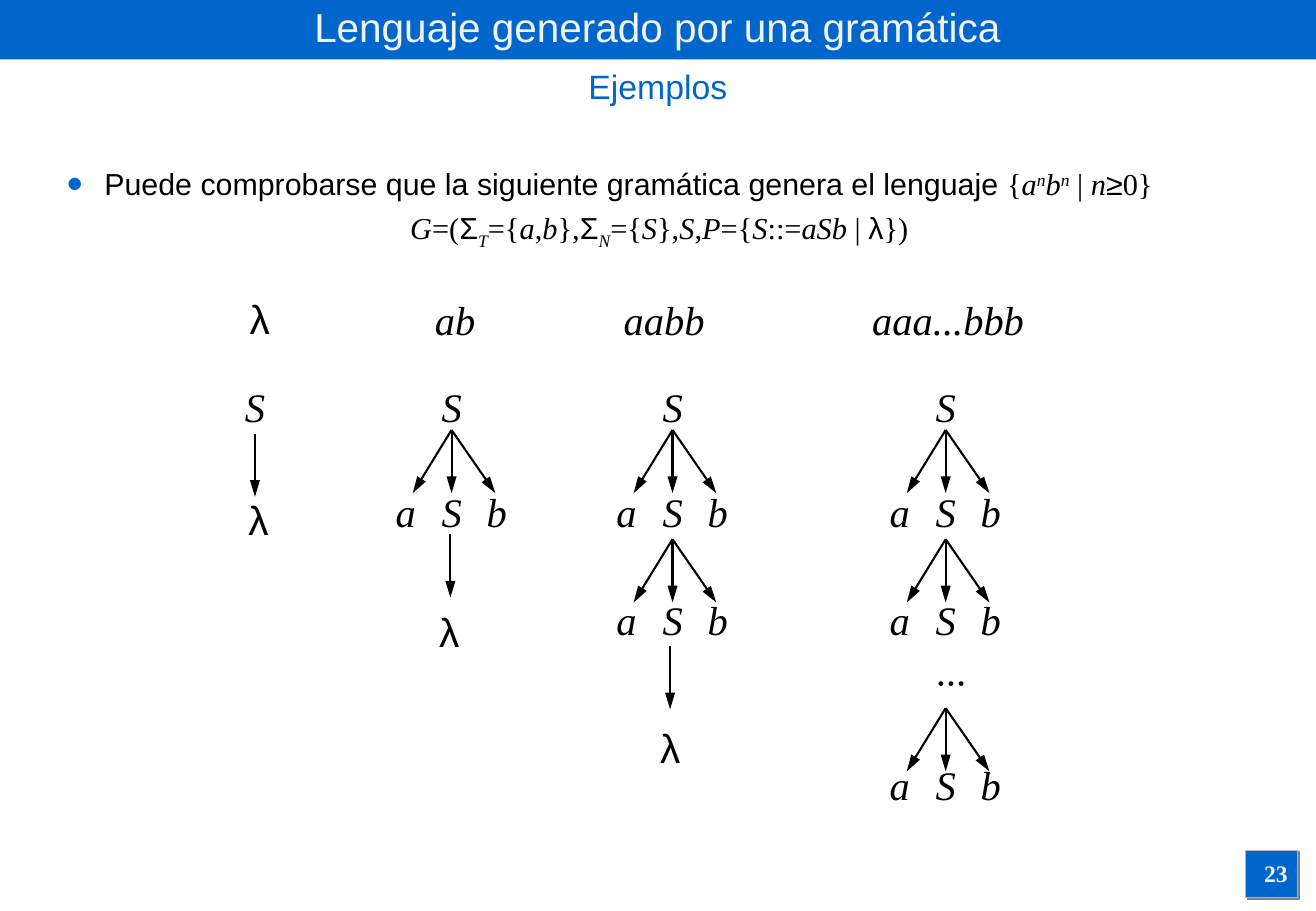
from lxml import etree
from pptx import Presentation
from pptx.dml.color import RGBColor
from pptx.enum.shapes import MSO_CONNECTOR, MSO_SHAPE
from pptx.enum.text import MSO_ANCHOR, MSO_AUTO_SIZE, PP_ALIGN
from pptx.oxml.ns import qn
from pptx.util import Inches, Pt

COLOURS = {
    "blue": "0066CC",
    "light": "F2F2F2",
    "black": "000000",
    "border": "B2B2B2",
    "shadow": "808080",
}
SANS, SERIF = "Arial", "Times New Roman"
ARROW_HEIGHT = 0.52

deck = Presentation()
deck.slide_width, deck.slide_height = Inches(10.84), Inches(7.5)
page = deck.slides.add_slide(deck.slide_layouts[1])


def add_label(text, center, top, width=0.36, height=0.5, size=24, font=SERIF,
              colour="black", italic=False, bold=False):
    """Add one line of text centred on the given x position."""
    box = page.shapes.add_textbox(
        Inches(center - width / 2), Inches(top), Inches(width), Inches(height))
    box.text_frame.word_wrap = False
    box.text_frame.auto_size = MSO_AUTO_SIZE.SHAPE_TO_FIT_TEXT
    box.text_frame.text = text
    para = box.text_frame.paragraphs[0]
    para.alignment = PP_ALIGN.CENTER
    style = para.runs[0].font
    style.name, style.size = font, Pt(size)
    style.italic, style.bold = italic, bold
    style.color.rgb = RGBColor.from_string(COLOURS[colour])


def add_arrow(x, top, shift=0):
    """Add a downward arrow whose tip lies shift inches to the side."""
    arrow = page.shapes.add_connector(
        MSO_CONNECTOR.STRAIGHT, Inches(x), Inches(top),
        Inches(x + shift), Inches(top + ARROW_HEIGHT))
    arrow.line.width = Pt(1.25)
    arrow.line.color.rgb = RGBColor.from_string(COLOURS["black"])
    etree.SubElement(arrow.line._get_or_add_ln(), qn("a:tailEnd"),
                     type="triangle", w="med", len="lg")
    etree.SubElement(arrow._element.spPr, qn("a:effectLst"))


# Bars behind the text
bars = []
for left, top, width, height in [(10.26, 7, 0.43, 0.39), (0, 0, 10.84, 0.49)]:
    bar = page.shapes.add_shape(MSO_SHAPE.RECTANGLE, Inches(left), Inches(top),
                                Inches(width), Inches(height))
    bar.shadow.inherit = False
    bar.fill.solid()
    bar.fill.fore_color.rgb = RGBColor.from_string(COLOURS["blue"])
    bar.line.fill.background()
    page.shapes._spTree.insert(2, bar._element)
    bars.append(bar)

number_frame = bars[0]
number_frame.line.color.rgb = RGBColor.from_string(COLOURS["border"])
number_frame.line.width = Pt(0.75)
effects = number_frame._element.spPr.find(qn("a:effectLst"))
shadow = etree.SubElement(effects, qn("a:outerShdw"), blurRad="0",
                          dist=str(Pt(1.4)), dir="2700000", algn="ctr")
etree.SubElement(shadow, qn("a:srgbClr"), val=COLOURS["shadow"])

# Title and subtitle
title = page.shapes.title
title.left, title.top = Inches(0), Inches(0)
title.width, title.height = Inches(10.83), Inches(0.44)
title.text_frame.text = "Lenguaje generado por una gramática"
title.text_frame.vertical_anchor = MSO_ANCHOR.MIDDLE
title.text_frame.auto_size = MSO_AUTO_SIZE.NONE
title_para = title.text_frame.paragraphs[0]
title_para.alignment = PP_ALIGN.CENTER
title_font = title_para.runs[0].font
title_font.name, title_font.size = SANS, Pt(24)
title_font.color.rgb = RGBColor.from_string(COLOURS["light"])
add_label("Ejemplos", 5.42, 0.49, 10.83, 0.44, 20, SANS, "blue")

# Statement and grammar: s = sans, i = italic, ^ = superscript, _ = subscript
statement = [
    ("Puede comprobarse que la siguiente gramática genera el lenguaje ", "s"),
    ("{", ""), ("a", "i"), ("n", "i^"), ("b", "i"), ("n", "i^"), (" | ", ""),
    ("n", "i"), ("≥", "s"), ("0}", ""),
]
grammar = [
    ("G", "i"), ("=(", ""), ("Σ", "s"), ("T", "i_"), ("={", ""), ("a", "i"),
    (",", ""), ("b", "i"), ("},", ""), ("Σ", "s"), ("N", "i_"), ("={", ""),
    ("S", "i"), ("},", ""), ("S", "i"), (",", ""), ("P", "i"), ("={", ""),
    ("S", "i"), ("::=", ""), ("aSb", "i"), (" | ", ""), ("λ", "s"), ("})", ""),
]
body = page.placeholders[1]
body.left, body.top = Inches(0.45), Inches(1.31)
body.width, body.height = Inches(9.96), Inches(1.29)
body.text_frame.auto_size = MSO_AUTO_SIZE.NONE
statement_para = body.text_frame.paragraphs[0]
grammar_para = body.text_frame.add_paragraph()
statement_para.space_before, grammar_para.space_before = Pt(0), Pt(4.5)
grammar_para.alignment = PP_ALIGN.CENTER

for para, pieces in [(statement_para, statement), (grammar_para, grammar)]:
    properties = para._p.get_or_add_pPr()
    properties.set("marL", str(Inches(0.31)))
    properties.set("indent", str(Inches(-0.31)))
    if para is statement_para:
        bullet_colour = etree.SubElement(properties, qn("a:buClr"))
        etree.SubElement(bullet_colour, qn("a:srgbClr"), val=COLOURS["blue"])
        etree.SubElement(properties, qn("a:buSzPct"), val="150000")
        etree.SubElement(properties, qn("a:buFont"), typeface=SANS)
        etree.SubElement(properties, qn("a:buChar"), char="•")
    else:
        etree.SubElement(properties, qn("a:buNone"))
    for text, marks in pieces:
        span = para.add_run()
        span.text = text
        span.font.name = SANS if "s" in marks else SERIF
        span.font.size = Pt(18)
        span.font.italic = "i" in marks
        span.font.color.rgb = RGBColor.from_string(COLOURS["black"])
        if "^" in marks:
            span.font._element.set("baseline", "30000")
        elif "_" in marks:
            span.font._element.set("baseline", "-25000")

# Derived words above the trees
add_label("λ", 2.14, 2.37, 0.38, font=SANS)
for word, center, width in [("ab", 3.75, 0.6), ("aabb", 5.47, 1),
                            ("aaa...bbb", 7.81, 1.6)]:
    add_label(word, center, 2.38, width, italic=True)

# Derivation trees: centre of the column, (fan top, row top) for each step
trees = [
    (2.1, []),
    (3.72, [(3.54, 3.96)]),
    (5.54, [(3.54, 3.96), (4.44, 4.85)]),
    (7.79, [(3.54, 3.96), (4.44, 4.85), (5.83, 6.21)]),
]
for center, steps in trees:
    add_label("S", center, 3.1, italic=True)
    for fan_top, row_top in steps:
        for shift in (0, -0.32, 0.36):
            add_arrow(center, fan_top, shift)
        for symbol, shift in [("a", -0.38), ("S", 0), ("b", 0.37)]:
            add_label(symbol, center + shift, row_top, italic=True)
add_label("···", 7.83, 5.36, 0.45, italic=True)

# Final step of each finite tree: arrow x, arrow top, lambda centre and top
for x, arrow_top, center, leaf_top in [(2.1, 3.57, 2.13, 4.03),
                                       (3.71, 4.4, 3.7, 4.95),
                                       (5.52, 5.32, 5.52, 5.9)]:
    add_arrow(x, arrow_top)
    add_label("λ", center, leaf_top, 0.38, font=SANS)

add_label("23", 10.51, 7.02, 0.54, 0.35, 14, colour="light", bold=True)

deck.save("out.pptx")
